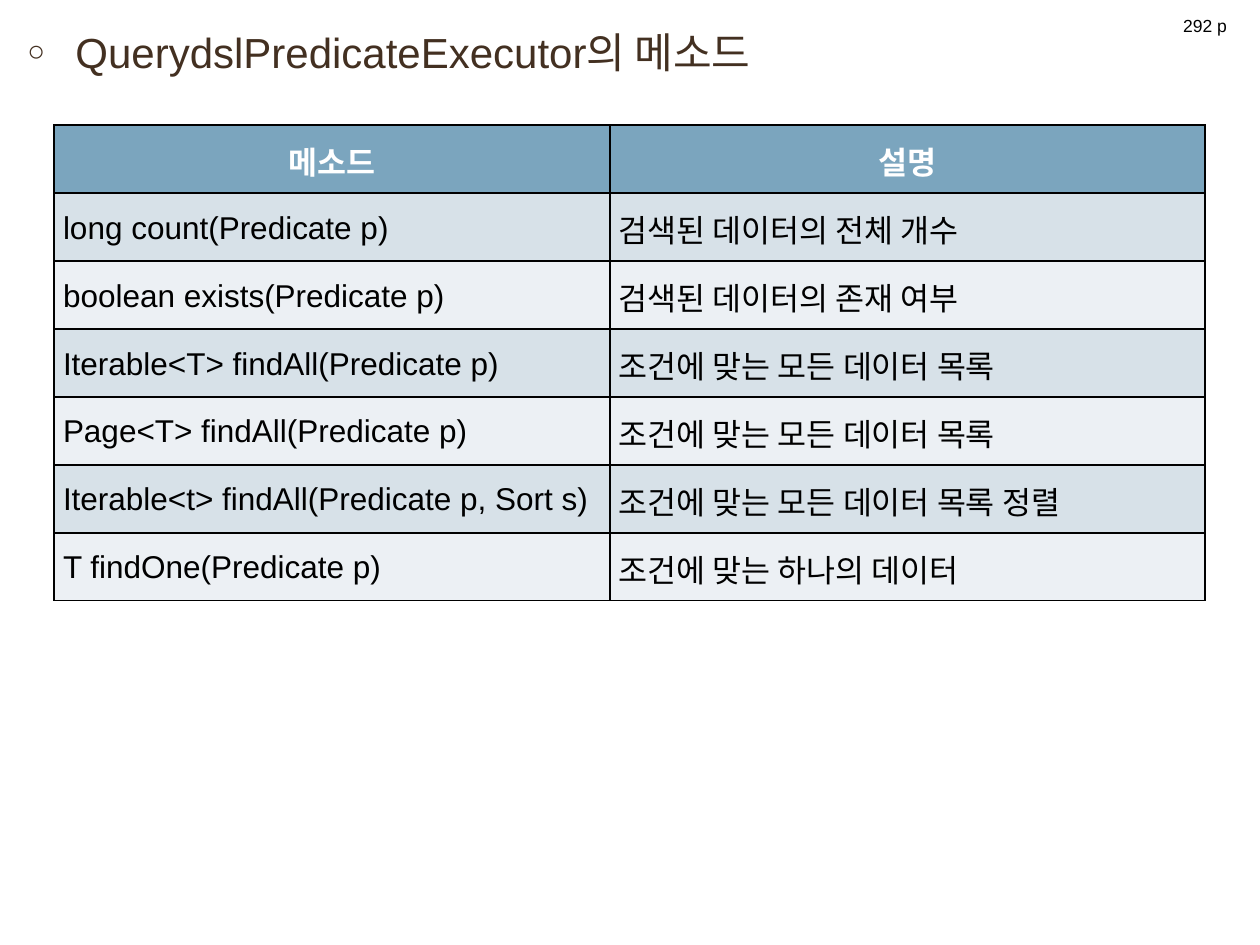
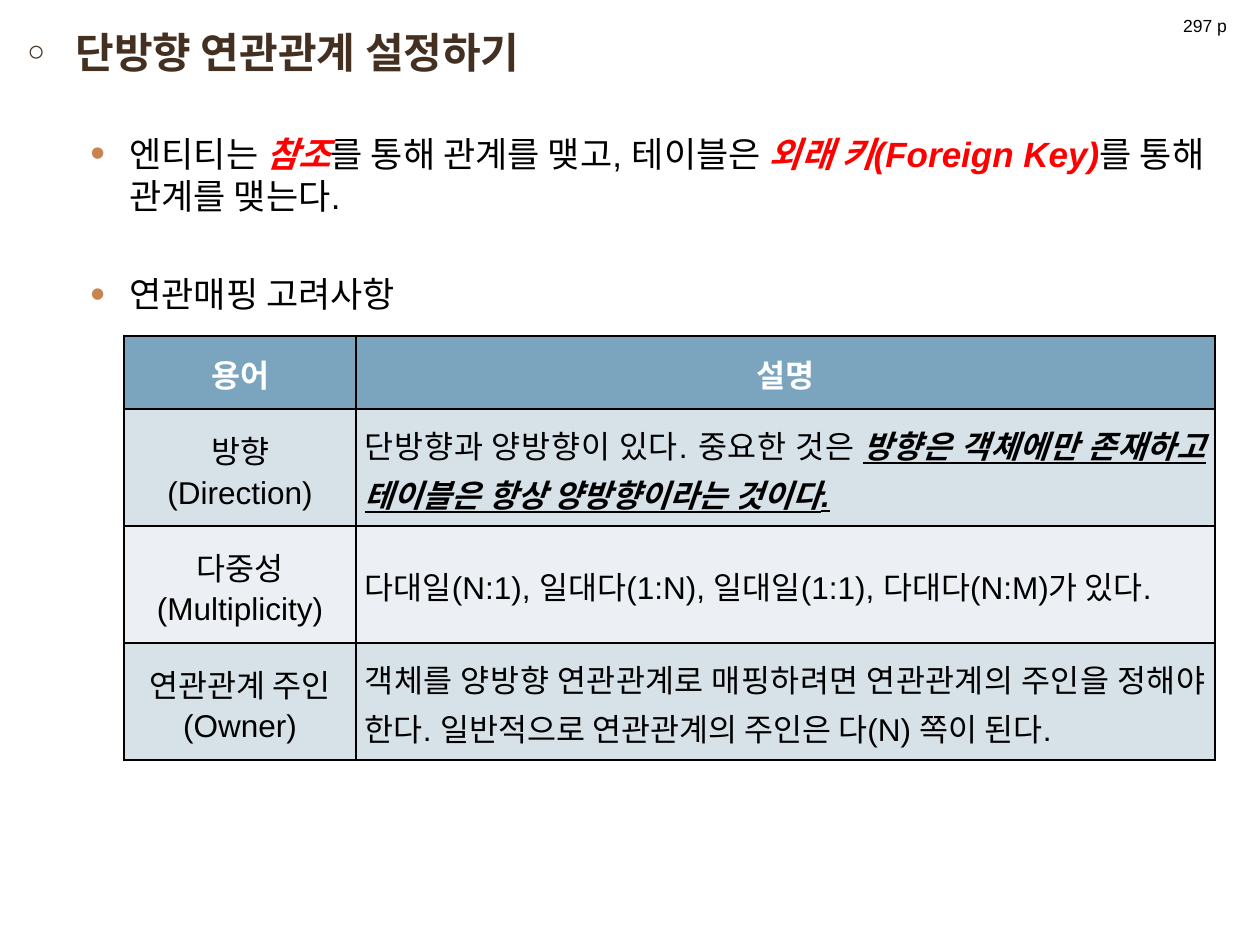
from lxml.etree import SubElement
from pptx import Presentation
from pptx.dml.color import RGBColor
from pptx.enum.shapes import MSO_SHAPE
from pptx.enum.text import MSO_ANCHOR, PP_ALIGN
from pptx.oxml.ns import qn
from pptx.util import Emu, Pt

EMU_PER_PX = 914400 / 126
FONT = "Arial"
BLACK, WHITE, RED = "000000", "FFFFFF", "FF0000"
TITLE_BROWN, BULLET_ORANGE = "433021", "C9834E"
HEADER_BLUE, BANDS = "7BA5BE", ("D7E1E8", "ECF0F4")

METHODS = [
    ("메소드", "설명"),
    ("long count(Predicate p)", "검색된 데이터의 전체 개수"),
    ("boolean exists(Predicate p)", "검색된 데이터의 존재 여부"),
    ("Iterable<T> findAll(Predicate p)", "조건에 맞는 모든 데이터 목록"),
    ("Page<T> findAll(Predicate p)", "조건에 맞는 모든 데이터 목록"),
    ("Iterable<t> findAll(Predicate p, Sort s)", "조건에 맞는 모든 데이터 목록 정렬"),
    ("T findOne(Predicate p)", "조건에 맞는 하나의 데이터"),
]

KEY_TERM = dict(color=RED, bold=True, italic=True)
RELATION = [
    "엔티티는 ", ("참조", KEY_TERM), "를 통해 관계를 맺고, 테이블은 ",
    ("외래 키(Foreign Key)", KEY_TERM), "를 통해 관계를 맺는다.",
]
STRESSED = dict(bold=True, italic=True, underline=True)
TERMS = [
    ("용어", "설명"),
    ("방향\n(Direction)",
     ["단방향과 양방향이 있다. 중요한 것은 ",
      ("방향은 객체에만 존재하고 테이블은 항상 양방향이라는 것이다.", STRESSED)]),
    ("다중성\n(Multiplicity)",
     "다대일(N:1), 일대다(1:N), 일대일(1:1), 다대다(N:M)가 있다."),
    ("연관관계 주인\n(Owner)",
     "객체를 양방향 연관관계로 매핑하려면 연관관계의 주인을 정해야 한다. "
     "일반적으로 연관관계의 주인은 다(N) 쪽이 된다."),
]


def px(length):
    return Emu(round(length * EMU_PER_PX))


def rgb(color):
    return RGBColor.from_string(color)


def write(paragraph, content, *, size, align=PP_ALIGN.LEFT, spacing=None, before=0, **style):
    """Fill a paragraph from a string or a list of strings and (string, format) pairs."""
    paragraph.alignment = align
    paragraph.space_before = Pt(before)
    if spacing:
        paragraph.line_spacing = spacing
    for part in [content] if isinstance(content, str) else content:
        text, extra = (part, {}) if isinstance(part, str) else part
        look = {"color": BLACK, "bold": False, "italic": False, "underline": False,
                **style, **extra}
        run = paragraph.add_run()
        run.text = text
        font = run.font
        font.name, font.size = FONT, Pt(size)
        font.bold, font.italic, font.underline = look["bold"], look["italic"], look["underline"]
        font.color.rgb = rgb(look["color"])


def add_bullet(paragraph, char, color, percent, margin, hang):
    props = paragraph._p.get_or_add_pPr()
    props.set("marL", str(px(margin)))
    props.set("indent", str(-px(hang)))
    SubElement(SubElement(props, qn("a:buClr")), qn("a:srgbClr"), val=color)
    SubElement(props, qn("a:buSzPct"), val=str(percent * 1000))
    SubElement(props, qn("a:buFont"), typeface=FONT)
    SubElement(props, qn("a:buChar"), char=char)


def add_borders(cell):
    props = cell._tc.get_or_add_tcPr()
    for side in ("lnL", "lnR", "lnT", "lnB"):
        line = SubElement(props, qn(f"a:{side}"), w=str(Pt(1)))
        SubElement(SubElement(line, qn("a:solidFill")), qn("a:srgbClr"), val=BLACK)


class Deck:
    def __init__(self):
        self.prs = Presentation()
        self.prs.slide_width, self.prs.slide_height = px(1260), px(945)
        self.slide = None

    def new_slide(self):
        self.slide = self.prs.slides.add_slide(self.prs.slide_layouts[6])

    def body(self, title, points=(), bold=False):
        box = self.slide.shapes.add_textbox(px(15), px(16), px(1230), px(912))
        frame = box.text_frame
        frame.word_wrap = True
        heading = frame.paragraphs[0]
        write(heading, title, size=24, spacing=Pt(31), color=TITLE_BROWN, bold=bold)
        add_bullet(heading, "○", TITLE_BROWN, 70, 48, 48)
        for point in points:
            paragraph = frame.add_paragraph()
            write(paragraph, point, size=20, spacing=Pt(24), before=32)
            add_bullet(paragraph, "•", BULLET_ORANGE, 120, 102, 39)

    def table(self, rows, left, top, widths, heights, first_align=PP_ALIGN.JUSTIFY):
        grid = self.slide.shapes.add_table(
            len(rows), len(widths), px(left), px(top), px(sum(widths)), px(sum(heights))).table
        for column, width in zip(grid.columns, widths):
            column.width = px(width)
        for r, (row, height) in enumerate(zip(rows, heights)):
            grid.rows[r].height = px(height)
            for c, content in enumerate(row):
                if r == 0:
                    fill, align, color = HEADER_BLUE, PP_ALIGN.CENTER, WHITE
                else:
                    fill, color = BANDS[(r - 1) % 2], BLACK
                    align = first_align if c == 0 else PP_ALIGN.JUSTIFY
                self.cell(grid.cell(r, c), content, fill,
                          align=align, color=color, bold=r == 0)

    def cell(self, cell, content, fill, **style):
        add_borders(cell)
        cell.fill.solid()
        cell.fill.fore_color.rgb = rgb(fill)
        cell.vertical_anchor = MSO_ANCHOR.MIDDLE
        cell.margin_left = cell.margin_right = px(9)
        cell.margin_top = cell.margin_bottom = 0
        lines = content.split("\n") if isinstance(content, str) else [content]
        frame = cell.text_frame
        for i, line in enumerate(lines):
            paragraph = frame.add_paragraph() if i else frame.paragraphs[0]
            write(paragraph, line, size=18, spacing=1.07, **style)

    def page_reference(self, text):
        label = self.slide.shapes.add_shape(
            MSO_SHAPE.RECTANGLE, px(1155), px(6), px(100), px(39))
        label.shadow.inherit = False
        label.fill.solid()
        label.fill.fore_color.rgb = rgb(WHITE)
        label.line.color.rgb = rgb(WHITE)
        label.line.width = Pt(1.25)
        label.text_frame.vertical_anchor = MSO_ANCHOR.MIDDLE
        label.text_frame.word_wrap = True
        write(label.text_frame.paragraphs[0], text, size=10, align=PP_ALIGN.CENTER)


def main():
    deck = Deck()

    deck.new_slide()
    deck.body("QuerydslPredicateExecutor의 메소드")
    deck.table(METHODS, 54, 125, [556, 595], [68] * len(METHODS))
    deck.page_reference("292 p")

    deck.new_slide()
    deck.body("단방향 연관관계 설정하기", [RELATION, "연관매핑 고려사항"], bold=True)
    deck.table(TERMS, 124, 336, [232, 859], [73] + [117] * 3, first_align=PP_ALIGN.CENTER)
    deck.page_reference("297 p")

    deck.prs.save("out.pptx")


if __name__ == "__main__":
    main()
